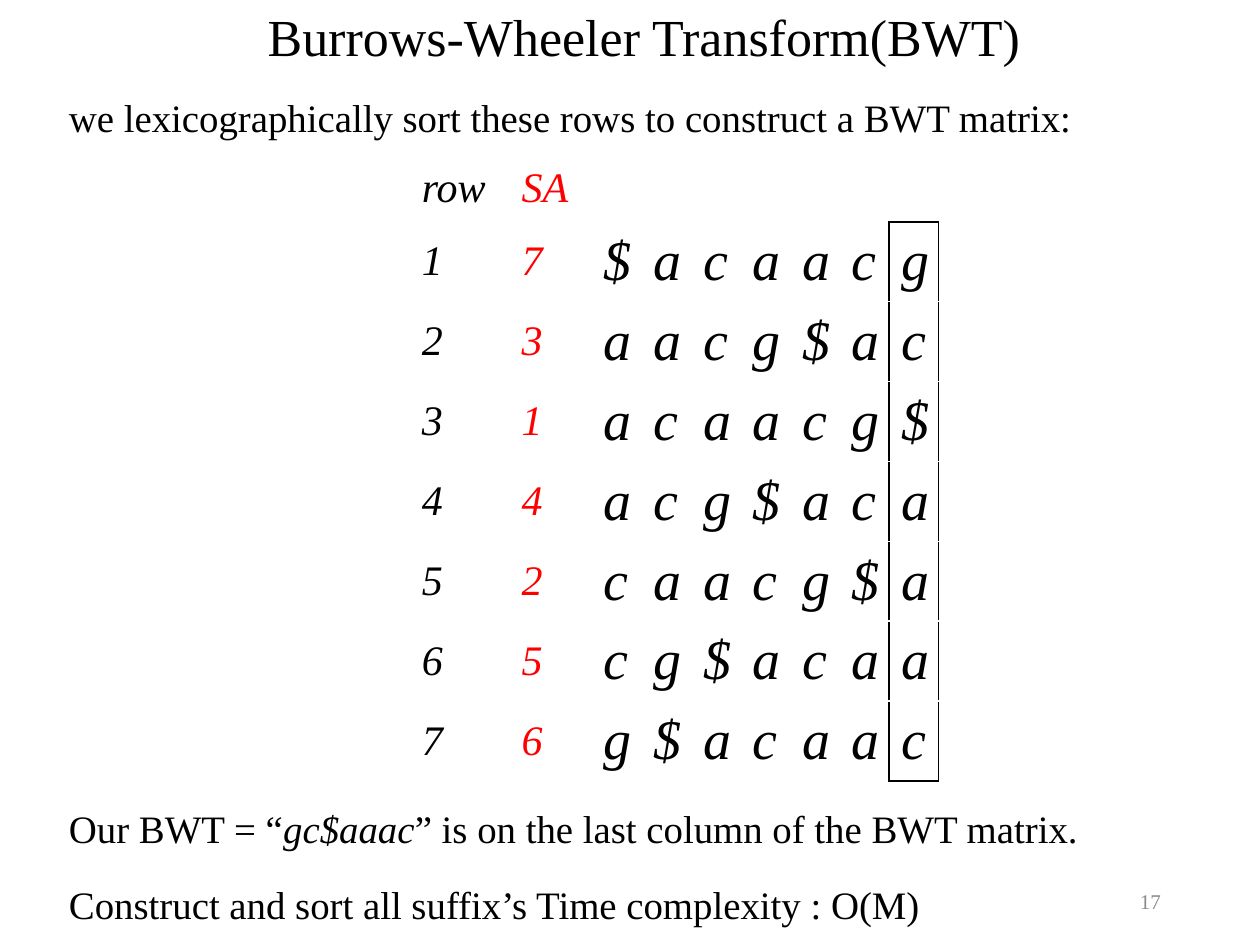
from lxml import etree
from pptx import Presentation
from pptx.dml.color import RGBColor
from pptx.enum.text import MSO_ANCHOR, PP_ALIGN
from pptx.oxml.ns import qn
from pptx.util import Cm, Pt

TOP, MIDDLE, BOTTOM = MSO_ANCHOR.TOP, MSO_ANCHOR.MIDDLE, MSO_ANCHOR.BOTTOM
LEFT, CENTER, RIGHT = PP_ALIGN.LEFT, PP_ALIGN.CENTER, PP_ALIGN.RIGHT
FONT = "Times New Roman"
BLACK, RED, GRAY = "000000", "FF0000", "8C8C8C"
SEQUENCE = "acaacg$"
EDGES = ("lnL", "lnR", "lnT", "lnB")


def rgb(value):
    """Turn a hex string into a colour."""
    return RGBColor.from_string(value)


def style_font(font, size, color=BLACK, italic=False):
    """Set the typeface, size, colour and slant of a font."""
    font.name = FONT
    font.size = Pt(size)
    font.color.rgb = rgb(color)
    font.italic = italic


def add_text(slide, box, lines, size, color=BLACK, align=LEFT, anchor=TOP, spacing=1.0):
    """Add a text box of (runs, space before) lines; every second run is italic."""
    frame = slide.shapes.add_textbox(*(Cm(length) for length in box)).text_frame
    frame.word_wrap = True
    frame.vertical_anchor = anchor
    for number, (runs, gap) in enumerate(lines):
        paragraph = frame.add_paragraph() if number else frame.paragraphs[0]
        paragraph.alignment = align
        paragraph.line_spacing = spacing
        paragraph.space_before = Pt(gap)
        for position, wording in enumerate(runs):
            run = paragraph.add_run()
            run.text = wording
            style_font(run.font, size, color, position % 2 == 1)
    return frame


def fill_cell(cell, wording, size, color, anchor):
    """Write one unfilled table cell in italics."""
    cell.fill.background()
    cell.vertical_anchor = anchor
    cell.text = wording
    for run in cell.text_frame.paragraphs[0].runs:
        style_font(run.font, size, color, True)


def draw_borders(cell, edges):
    """Draw thin black lines along the named edges of a cell."""
    properties = cell._tc.get_or_add_tcPr()
    for position, edge in enumerate(e for e in EDGES if e in edges):
        line = etree.Element(qn(f"a:{edge}"), w=str(Pt(1)))
        fill = etree.SubElement(line, qn("a:solidFill"))
        etree.SubElement(fill, qn("a:srgbClr"), val=BLACK)
        properties.insert(position, line)


def sorted_rotations(sequence):
    """Return the sorted (rotation, start) pairs of a sequence."""
    return sorted((sequence[i:] + sequence[:i], i + 1) for i in range(len(sequence)))


def add_bwt_matrix(slide):
    """Add the matrix of sorted rotations with its last column boxed."""
    rotations = sorted_rotations(SEQUENCE)
    count = len(rotations)
    widths = [2.01, 1.66] + [1.0] * count
    heights = [0.76] + [1.61] * count
    table = slide.shapes.add_table(
        len(heights), len(widths), Cm(8.25), Cm(3.2), Cm(sum(widths)), Cm(sum(heights))
    ).table
    table.first_row = table.horz_banding = False
    for column, width in zip(table.columns, widths):
        column.width = Cm(width)
    for row, height in zip(table.rows, heights):
        row.height = Cm(height)

    rows = [["row", "SA"] + [""] * count]
    rows += [[str(n), str(start), *text] for n, (text, start) in enumerate(rotations, 1)]
    for r, row in enumerate(rows):
        for c, wording in enumerate(row):
            size = 24 if c < 2 else 32
            color = RED if c == 1 else BLACK
            fill_cell(table.cell(r, c), wording, size, color, MIDDLE if r else TOP)

    last = len(widths) - 1
    draw_borders(table.cell(0, last), ["lnB"])
    for r in range(1, count + 1):
        ends = ["lnT"] * (r == 1) + ["lnB"] * (r == count)
        draw_borders(table.cell(r, last - 1), ["lnR"])
        draw_borders(table.cell(r, last), ["lnL", "lnR"] + ends)


def main():
    """Build and save the slide."""
    deck = Presentation()
    deck.slide_width, deck.slide_height = Cm(25.4), Cm(19.05)
    slide = deck.slides.add_slide(deck.slide_layouts[6])

    add_text(slide, (4.67, -0.38, 16.64, 1.88), [(["Burrows-Wheeler Transform(BWT)"], 0)],
             29.7, align=CENTER, anchor=BOTTOM, spacing=0.9)
    add_text(slide, (17.93, 17.65, 5.72, 1.02), [(["17"], 0)],
             12, GRAY, RIGHT, MIDDLE)
    bwt = "".join(text[-1] for text, _ in sorted_rotations(SEQUENCE))
    explanation = [
        (["we lexicographically sort these rows to construct a BWT matrix:"], 0),
        (["Our BWT = “", bwt, "” is on the last column of the BWT matrix."], 384.7),
        (["Construct and sort all suffix’s Time complexity : O(M)"], 22.4),
    ]
    frame = add_text(slide, (1.14, 1.88, 22.71, 17.17), explanation, 22.2, spacing=0.8)
    frame.margin_top = Cm(0.2)
    add_bwt_matrix(slide)
    deck.save("out.pptx")


if __name__ == "__main__":
    main()
